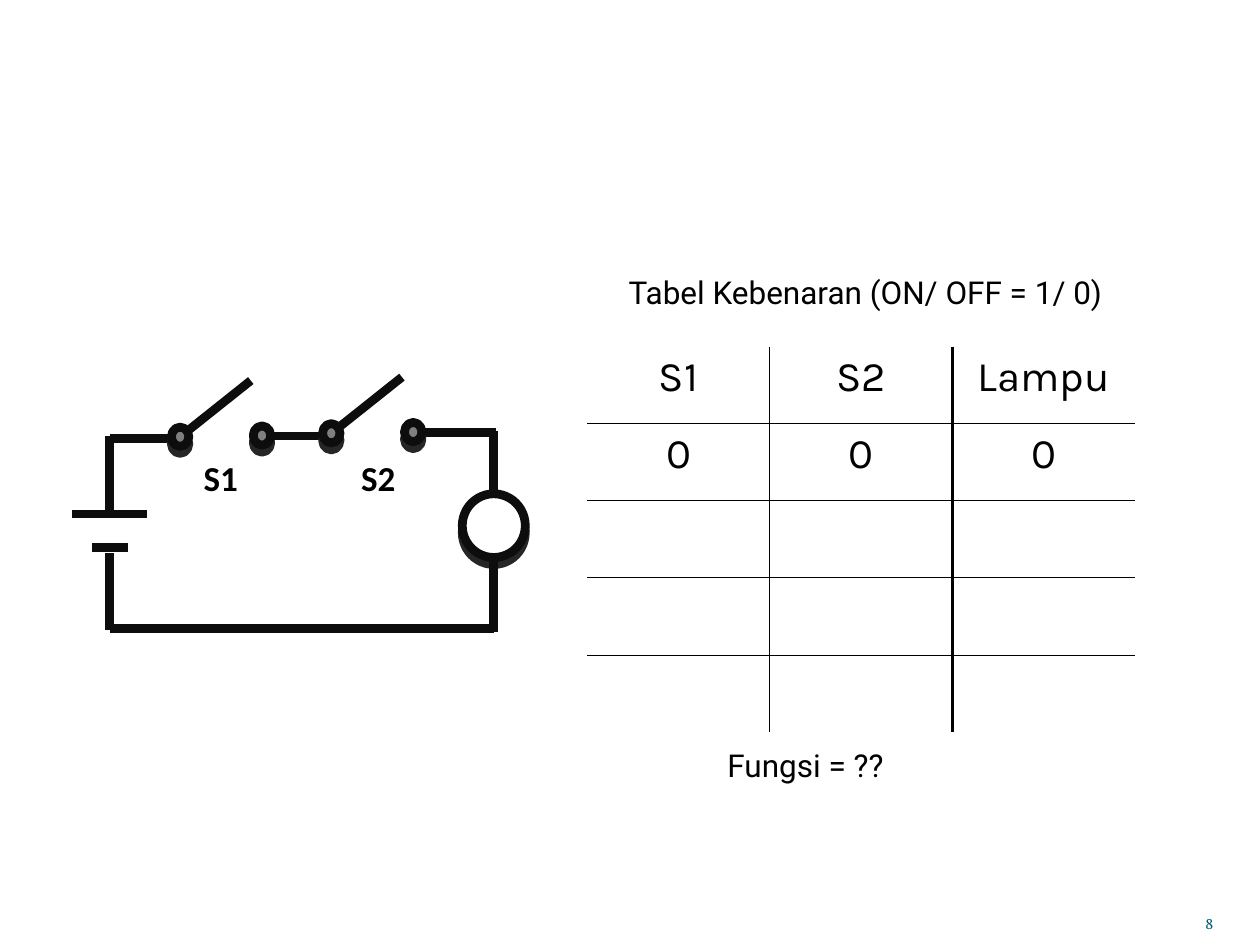
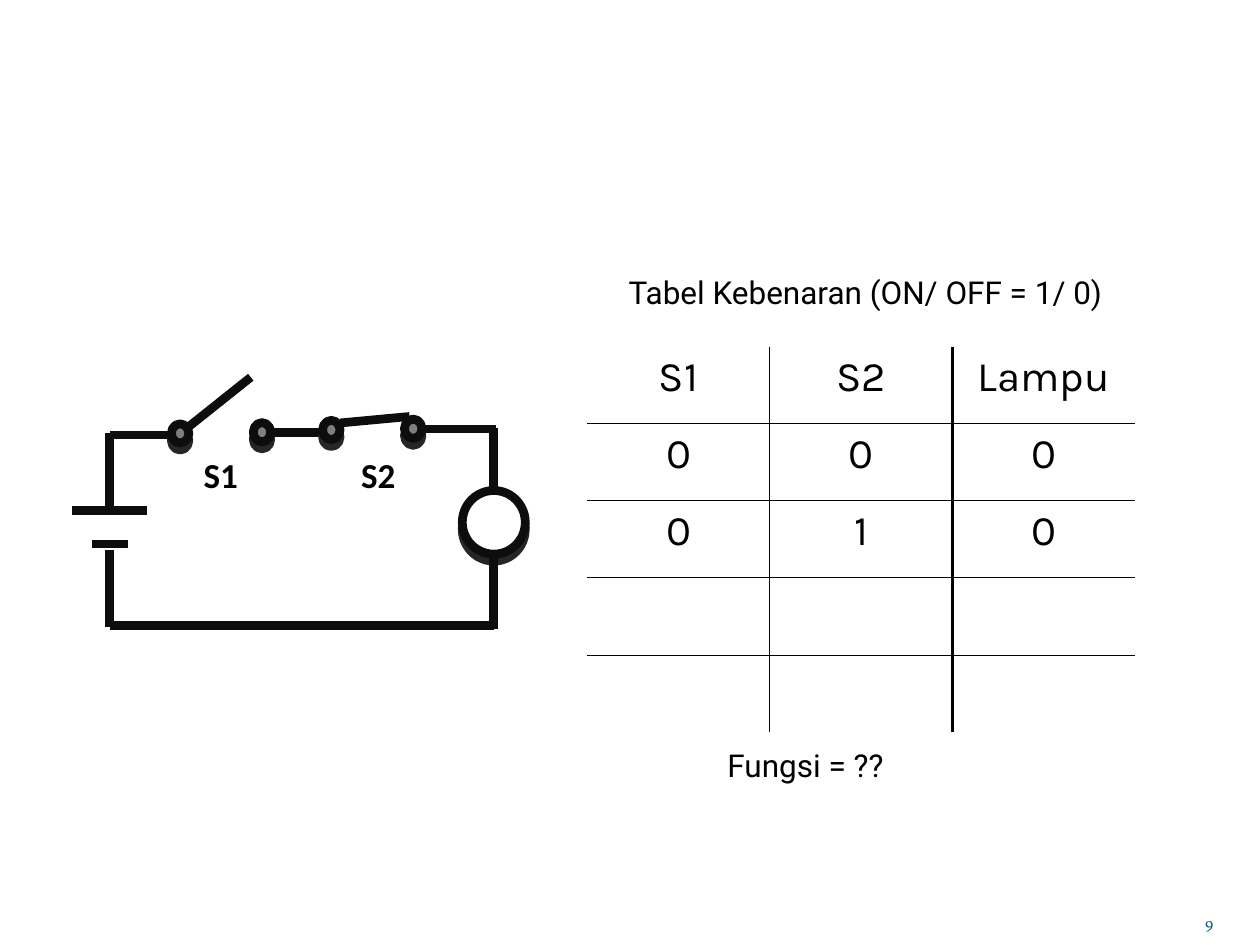
from dataclasses import dataclass

from lxml.etree import SubElement
from pptx import Presentation
from pptx.dml.color import RGBColor
from pptx.enum.shapes import MSO_CONNECTOR, MSO_SHAPE
from pptx.enum.text import MSO_ANCHOR, MSO_AUTO_SIZE, PP_ALIGN
from pptx.oxml.ns import qn
from pptx.util import Pt


@dataclass(frozen=True)
class Theme:
    text: str = "000000"
    wire: str = "0D0D0D"
    dot: str = "7F7F7F"
    lamp: str = "FFFFFF"
    shade: str = "262626"
    page: str = "045C75"
    note_font: tuple = ("Roboto", 18)
    cell_font: tuple = ("Karla", 24)
    mark_font: tuple = ("Calibri", 20)
    page_font: tuple = ("Vollkorn", 9)
    wire_width: float = 5
    thin: float = 0.45
    thick: float = 1.47


THEME = Theme()
HEAD = ("S1", "S2", "Lampu")
ROWS = 5


def color(code):
    return RGBColor.from_string(code)


def style(para, font, code=THEME.text, align=PP_ALIGN.LEFT, bold=False):
    para.alignment = align
    para.font.name, para.font.size = font[0], Pt(font[1])
    para.font.bold = bold
    para.font.color.rgb = color(code)


def write(shape, text, box, font, anchor=MSO_ANCHOR.TOP, wrap=False, **look):
    """Place a text shape in box and fill it with one styled paragraph."""
    shape.left, shape.top, shape.width, shape.height = map(Pt, box)
    frame = shape.text_frame
    frame.text = text
    frame.word_wrap = wrap
    frame.auto_size = MSO_AUTO_SIZE.NONE
    frame.vertical_anchor = anchor
    style(frame.paragraphs[0], font, **look)


def label(shapes, text, box, font, **look):
    write(shapes.add_textbox(0, 0, 0, 0), text, box, font, **look)


# Circuit parts
def wire(shapes, x1, y1, x2, y2):
    line = shapes.add_connector(MSO_CONNECTOR.STRAIGHT, Pt(x1), Pt(y1), Pt(x2), Pt(y2))
    line.line.color.rgb = color(THEME.wire)
    line.line.width = Pt(THEME.wire_width)
    SubElement(line._element.spPr, qn("a:effectLst"))


def disc(shapes, x, y, wide, high, code):
    oval = shapes.add_shape(MSO_SHAPE.OVAL, Pt(x), Pt(y), Pt(wide), Pt(high))
    oval.fill.solid()
    oval.fill.fore_color.rgb = color(code)
    oval.line.color.rgb = color(THEME.wire)
    oval.line.width = Pt(THEME.wire_width)
    # Solid shadow straight below
    oval.shadow.inherit = False
    effect = oval._element.spPr.find(qn("a:effectLst"))
    shade = SubElement(effect, qn("a:outerShdw"), dist=str(Pt(4)), dir="5400000",
                       algn="ctr", rotWithShape="0")
    SubElement(shade, qn("a:srgbClr"), val=THEME.shade)


def switch(shapes, x, y, closed):
    disc(shapes, x + 46.8, y - 0.7, 10, 11, THEME.dot)
    disc(shapes, x, y, 10, 11, THEME.dot)
    tip = (49.7, -2.2) if closed else (45.4, -26.6)
    wire(shapes, x + 10.1, y + 1.5, x + tip[0], y + tip[1])


def circuit(slide, x, y, states):
    """Draw battery, two switches in series and lamp from corner x, y."""
    shapes = slide.shapes.add_group_shape().shapes
    left, right = x + 20.9, x + 240.5
    # Leads between the switches
    wire(shapes, x + 141.1, y + 33.1, x + 113, y + 33.1)
    wire(shapes, left, y + 34.5, x + 61.2, y + 34.5)
    wire(shapes, x + 242, y + 31, x + 199.4, y + 31)
    for i, closed in enumerate(states):
        switch(shapes, x + 56.2 + 86.4 * i, y + 28.1 - 2 * i, closed)
    # Lamp and the outer loop
    disc(shapes, right - 18, y + 66.2, 36, 36.4, THEME.lamp)
    wire(shapes, right, y + 66.2, right, y + 30.2)
    wire(shapes, left, y + 77.8, left, y + 33.1)
    wire(shapes, right, y + 143.3, left, y + 143.3)
    wire(shapes, right, y + 145.4, right, y + 102.2)
    wire(shapes, left, y + 144, left, y + 100.1)
    # Battery plates
    for half, drop in ((21.3, 77.8), (10.3, 96.7)):
        wire(shapes, left + half, y + drop, left - half, y + drop)
    # Switch names
    for i, name in enumerate(HEAD[:2]):
        label(shapes, name, (x + 60.4 + 90 * i, y + 36, 48.2, 41.8), THEME.mark_font,
              anchor=MSO_ANCHOR.MIDDLE, wrap=True, align=PP_ALIGN.CENTER, bold=True)


# Truth table
def border(cell, side, width):
    line = SubElement(cell._tc.get_or_add_tcPr(), qn(f"a:ln{side}"), w=str(Pt(width)))
    if width:
        fill = SubElement(line, qn("a:solidFill"))
        SubElement(fill, qn("a:srgbClr"), val=THEME.text)
    else:
        SubElement(line, qn("a:noFill"))


def truth(slide, box, data):
    frame = slide.shapes.add_table(ROWS, len(HEAD), *map(Pt, box))
    grid = frame.table
    grid.first_row = grid.horz_banding = False
    rules = (0, THEME.thin, THEME.thick, 0)
    rows = [HEAD, *data]
    for r in range(ROWS):
        grid.rows[r].height = Pt(box[3] / ROWS)
        for c in range(len(HEAD)):
            grid.columns[c].width = Pt(box[2] / len(HEAD))
            cell = grid.cell(r, c)
            border(cell, "L", rules[c])
            border(cell, "R", rules[c + 1])
            border(cell, "T", THEME.thin if r else 0)
            border(cell, "B", THEME.thin if r < ROWS - 1 else 0)
            cell.fill.background()
            if r < len(rows):
                cell.text = rows[r][c]
            style(cell.text_frame.paragraphs[0], THEME.cell_font, align=PP_ALIGN.CENTER)


def build(deck, page, states, data, rise):
    slide = deck.slides.add_slide(deck.slide_layouts[5])
    write(slide.shapes.title, "Tabel Kebenaran (ON/ OFF = 1/ 0)",
          (352, 152.6, 296, 29), THEME.note_font)
    truth(slide, (335.5, 198, 313.2, 220.3), data)
    label(slide.shapes, "Fungsi = ??", (408.6, 422.6, 108, 29), THEME.note_font)
    circuit(slide, 41.7, 216 - rise, states)
    label(slide.shapes, page, (653, 521.3, 47.5, 12.2), THEME.page_font, wrap=True,
          anchor=MSO_ANCHOR.MIDDLE, code=THEME.page, align=PP_ALIGN.RIGHT)


def main():
    deck = Presentation()
    deck.slide_width, deck.slide_height = Pt(720), Pt(540)
    build(deck, "8", (False, False), ["000"], 0)
    build(deck, "9", (False, True), ["000", "010"], 1.9)
    deck.save("out.pptx")


if __name__ == "__main__":
    main()
